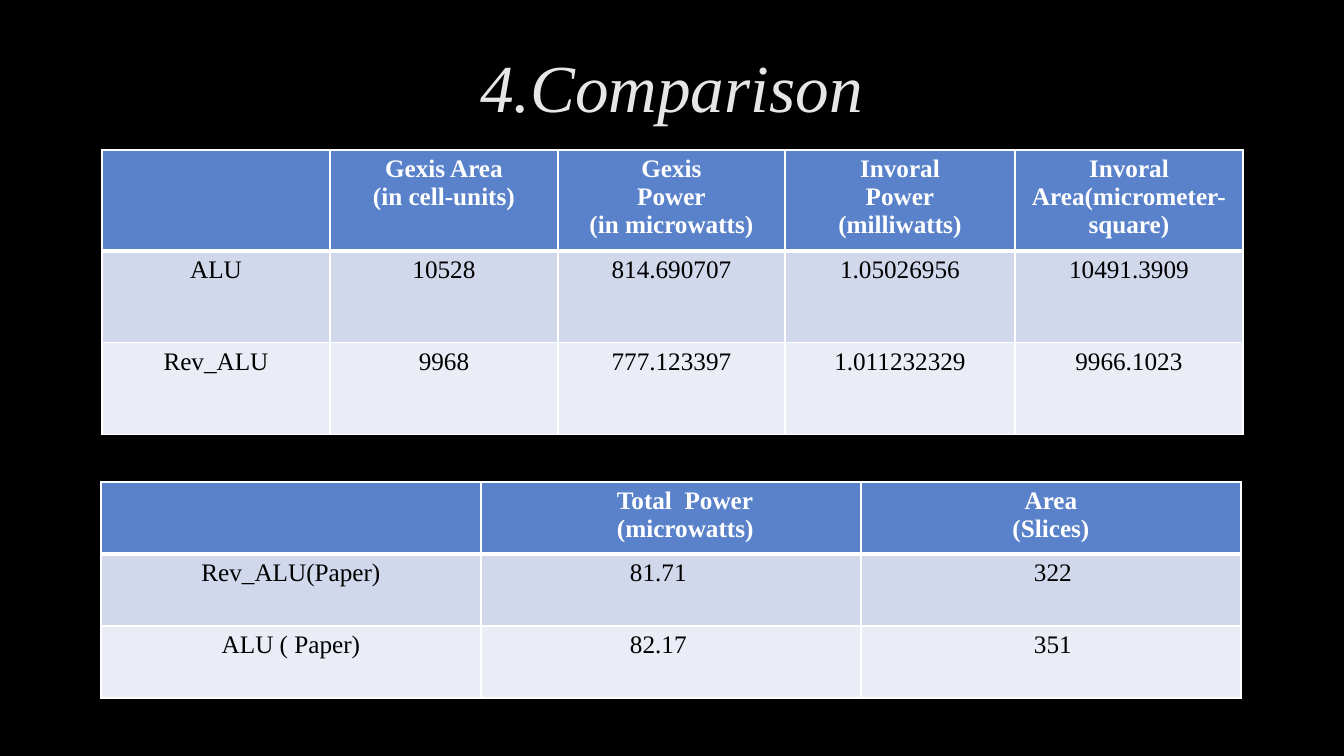
import dataclasses

import pptx
import pptx.dml.color
import pptx.enum.text
import pptx.oxml
import pptx.oxml.ns
import pptx.util

ALIGN = pptx.enum.text.PP_ALIGN
ANCHOR = pptx.enum.text.MSO_ANCHOR


@dataclasses.dataclass(frozen=True)
class Theme:
    """Colours, font, type sizes and line widths of the slide."""
    background: str = "000000"
    title: str = "E7E6E6"
    header: str = "5A82CB"
    bands: tuple = ("D2D8EC", "EAEDF6")
    header_text: str = "FFFFFF"
    body_text: str = "000000"
    border: str = "FFFFFF"
    font: str = "Times New Roman"
    title_pt: int = 48
    table_pt: int = 18
    thin_pt: int = 1
    thick_pt: int = 3


THEME = Theme()

TOOL_ROWS = [
    ["", "Gexis Area\n(in cell-units)", "Gexis\nPower\n(in microwatts)",
     "Invoral\nPower\n(milliwatts)", "Invoral\nArea(micrometer-square)"],
    ["ALU", "10528", "814.690707", "1.05026956", "10491.3909"],
    ["Rev_ALU", "9968", "777.123397", "1.011232329", "9966.1023"],
]
PAPER_ROWS = [
    ["", "Total  Power\n(microwatts)", "Area\n(Slices)"],
    ["Rev_ALU(Paper)", "81.71", "322"],
    ["ALU ( Paper)", "82.17", "351"],
]
PAPER_INDENTS = {(0, 1): 136, (1, 1): 149, (2, 1): 149, (1, 2): 173, (2, 2): 173}


def px(n):
    """Turn pixels into EMU."""
    return pptx.util.Emu(round(n * 914400 / 100.8))


def rgb(value):
    """Turn a hex string into a colour."""
    return pptx.dml.color.RGBColor.from_string(value)


def write(tf, text, *, size, color, bold=False, italic=False,
          align=ALIGN.CENTER, spacing=None):
    """Fill a text frame, one paragraph to each line of text."""
    for i, line in enumerate(text.split("\n")):
        p = tf.paragraphs[0] if i == 0 else tf.add_paragraph()
        p.alignment = align
        p.line_spacing = spacing
        r = p.add_run()
        r.text = line
        r.font.name = THEME.font
        r.font.size = pptx.util.Pt(size)
        r.font.bold = bold
        r.font.italic = italic
        r.font.color.rgb = rgb(color)


def set_borders(cell, row):
    """Draw the cell's four sides, with a thick rule under the header."""
    widths = dict.fromkeys("LRTB", THEME.thin_pt)
    if row < 2:
        widths["B" if row == 0 else "T"] = THEME.thick_pt
    tc_pr = cell._tc.get_or_add_tcPr()
    for side, width in widths.items():
        tc_pr.append(pptx.oxml.parse_xml(
            f'<a:ln{side} {pptx.oxml.ns.nsdecls("a")} w="{pptx.util.Pt(width)}">'
            f'<a:solidFill><a:srgbClr val="{THEME.border}"/></a:solidFill>'
            f'</a:ln{side}>'))


def add_title(s, box, text):
    """Place the slide title, centred in its box."""
    tf = s.shapes.add_textbox(*map(px, box)).text_frame
    tf.word_wrap = True
    tf.vertical_anchor = ANCHOR.MIDDLE
    write(tf, text, size=THEME.title_pt, color=THEME.title, italic=True, spacing=0.9)


def add_comparison(s, box, rows, columns, indents=None):
    """Place a banded table; indents left-align the cells they name."""
    indents = indents or {}
    table = s.shapes.add_table(len(rows), len(columns), *map(px, box)).table
    for column, width in zip(table.columns, columns):
        column.width = px(width)
    for i, row in enumerate(rows):
        table.rows[i].height = px(box[3] / len(rows))
        for j, text in enumerate(row):
            cell = table.cell(i, j)
            set_borders(cell, i)
            cell.fill.solid()
            cell.fill.fore_color.rgb = rgb(THEME.bands[(i - 1) % 2] if i else THEME.header)
            align = ALIGN.CENTER
            if (i, j) in indents:
                cell.margin_left = px(indents[i, j])
                align = ALIGN.LEFT
            if text:
                write(cell.text_frame, text, size=THEME.table_pt, bold=i == 0, align=align,
                      color=THEME.body_text if i else THEME.header_text)


def add_comparison_slide(prs):
    """Build the slide with its title and two tables."""
    s = prs.slides.add_slide(prs.slide_layouts[6])
    s.background.fill.solid()
    s.background.fill.fore_color.rgb = rgb(THEME.background)
    add_title(s, (101, 21, 1141, 139), "4.Comparison")
    add_comparison(s, (102, 150, 1141, 276), TOOL_ROWS, (228, 228, 227, 230, 228))
    add_comparison(s, (101, 482, 1140, 216), PAPER_ROWS, (380,) * 3, PAPER_INDENTS)


def main():
    """Make the presentation and save it."""
    prs = pptx.Presentation()
    prs.slide_width, prs.slide_height = px(1344), px(756)
    add_comparison_slide(prs)
    prs.save("out.pptx")


if __name__ == "__main__":
    main()
